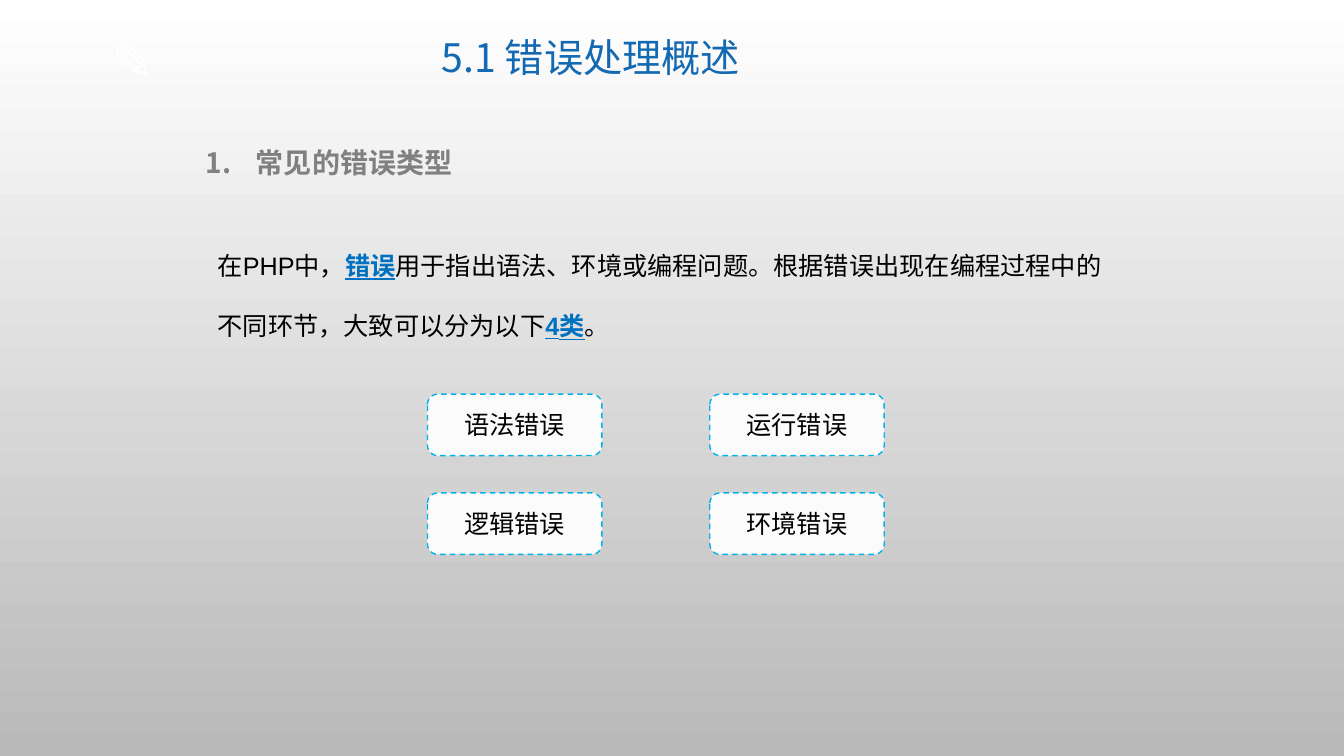
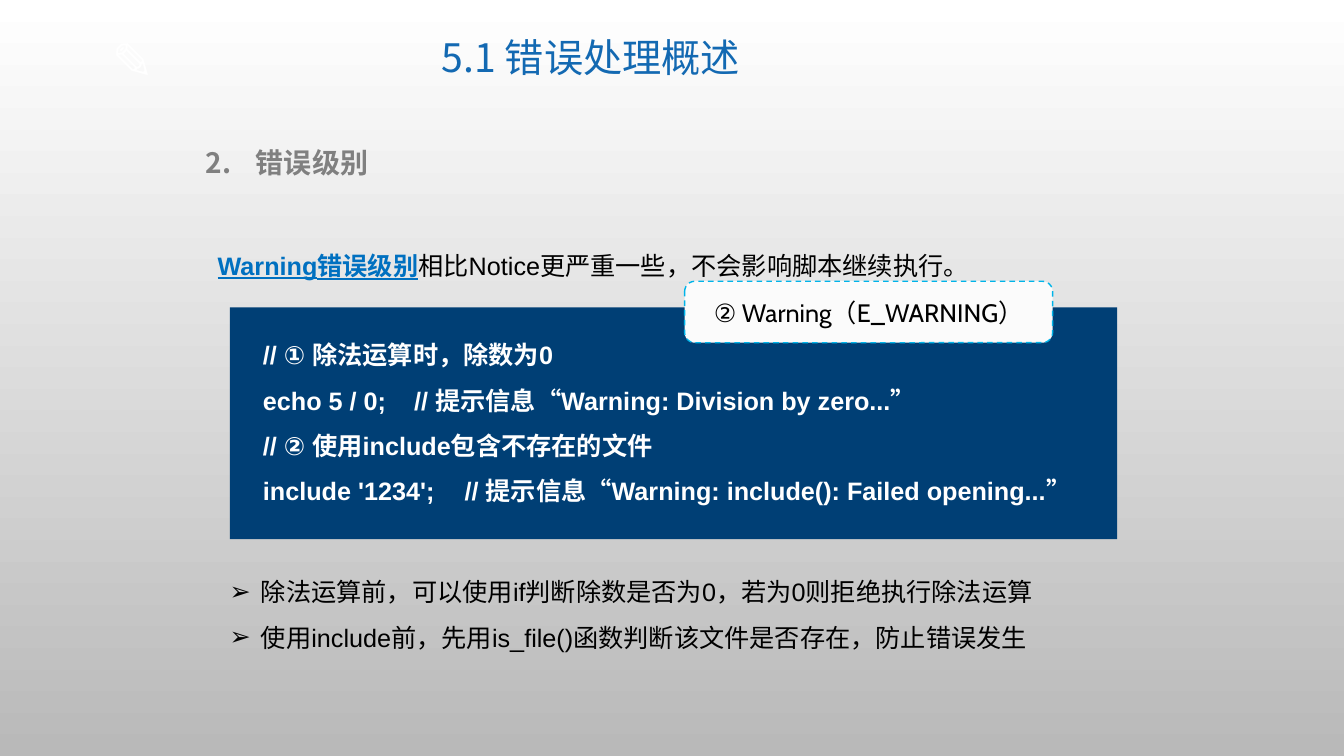
from lxml import etree
from pptx import Presentation
from pptx.dml.color import RGBColor
from pptx.enum import dml, shapes, text as text_enum
from pptx.oxml import ns
from pptx.util import Inches, Pt

BLACK = RGBColor(0x00, 0x00, 0x00)
WHITE = RGBColor(0xFF, 0xFF, 0xFF)
BACKGROUND_END = RGBColor(0xB9, 0xB9, 0xB9)
TITLE_BLUE = RGBColor(0x13, 0x69, 0xB2)
HEADING_GREY = RGBColor(0x80, 0x80, 0x80)
KEYWORD_BLUE = RGBColor(0x00, 0x70, 0xC0)
LABEL_FILL = RGBColor(0xFB, 0xFB, 0xFB)
LABEL_LINE = RGBColor(0x00, 0xB4, 0xE9)
CODE_NAVY = RGBColor(0x00, 0x3F, 0x75)

CJK_FONT = "Noto Sans CJK SC"
BODY_FONT = "Arial"
LABEL_FONT = "Cabin"


def style_paragraph(paragraph, size=18, color=BLACK, name=BODY_FONT, bold=False,
                    spacing=None, align=None):
    font = paragraph.font
    font.size, font.bold, font.name = Pt(size), bold, name
    font.color.rgb = color
    properties = paragraph._p.get_or_add_pPr()
    defaults = properties.find(ns.qn("a:defRPr"))
    etree.SubElement(defaults, ns.qn("a:ea"), typeface=CJK_FONT)
    if spacing:
        paragraph.line_spacing = spacing
    if align:
        paragraph.alignment = align


def add_property(paragraph, tag, **attributes):
    """Insert a paragraph property ahead of the default font."""
    defaults = paragraph._p.get_or_add_pPr().find(ns.qn("a:defRPr"))
    element = etree.Element(ns.qn(tag), **attributes)
    defaults.addprevious(element)
    return element


def set_indent(paragraph, inches):
    properties = paragraph._p.get_or_add_pPr()
    properties.set("marL", str(Inches(inches)))
    properties.set("indent", str(-Inches(inches)))


def add_text(slide, box, lines, **style):
    """Add a text box with one paragraph per line and return the paragraphs."""
    frame = slide.shapes.add_textbox(*map(Inches, box)).text_frame
    frame.word_wrap = True
    frame.text = "\n".join(lines)
    for paragraph in frame.paragraphs:
        style_paragraph(paragraph, **style)
    return frame.paragraphs


def add_box(slide, kind, box, fill):
    shape = slide.shapes.add_shape(kind, *map(Inches, box))
    shape.shadow.inherit = False
    shape.fill.solid()
    shape.fill.fore_color.rgb = fill
    shape.line.fill.background()
    return shape


def set_background(master):
    fill = master.background.fill
    fill.gradient()
    fill.gradient_angle = 270
    for stop, position, color in zip(fill.gradient_stops, (0, 1), (WHITE, BACKGROUND_END)):
        stop.position = position
        stop.color.rgb = color


def add_topic_slide(presentation, number, heading):
    """Start a slide with pencil mark, chapter title and numbered heading."""
    slide = presentation.slides.add_slide(presentation.slide_layouts[6])
    add_text(slide, (1.01, 0.24, 0.86, 0.71), ["✎"],
             size=36, color=WHITE, name=CJK_FONT, bold=True)

    add_text(slide, (2.42, 0.17, 6.88, 0.85), ["5.1 错误处理概述"],
             size=28, color=TITLE_BLUE, name=CJK_FONT, spacing=0.9,
             align=text_enum.PP_ALIGN.CENTER)
    slide.shapes[-1].text_frame.vertical_anchor = text_enum.MSO_ANCHOR.MIDDLE

    paragraph, = add_text(slide, (1.94, 1.39, 9.22, 0.44), [heading],
                          size=20, color=HEADING_GREY, name=CJK_FONT, bold=True)
    set_indent(paragraph, 0.5)
    add_property(paragraph, "a:buFont", typeface=CJK_FONT)
    add_property(paragraph, "a:buAutoNum", type="arabicPeriod", startAt=str(number))
    return slide


def add_intro(slide, box, segments):
    """Add a paragraph of (words, is_keyword) segments."""
    paragraph, = add_text(slide, box, [""], spacing=2.0)
    for words, is_keyword in segments:
        run = paragraph.add_run()
        run.text = words
        if is_keyword:
            run.font.bold = run.font.underline = True
            run.font.color.rgb = KEYWORD_BLUE


def add_label(slide, box, words):
    label = add_box(slide, shapes.MSO_SHAPE.ROUNDED_RECTANGLE, box, LABEL_FILL)
    label.line.color.rgb = LABEL_LINE
    label.line.width = Pt(1)
    label.line.dash_style = dml.MSO_LINE.DASH
    frame = label.text_frame
    frame.vertical_anchor = text_enum.MSO_ANCHOR.MIDDLE
    frame.text = words
    style_paragraph(frame.paragraphs[0], name=LABEL_FONT, align=text_enum.PP_ALIGN.CENTER)


def add_label_grid(slide, box, rows):
    """Spread equal labels to the edges of the box."""
    left, top, width, height = box
    label_width, label_height = 1.73, 0.61
    for row, names in enumerate(rows):
        y = top + row * (height - label_height) / (len(rows) - 1)
        for column, name in enumerate(names):
            x = left + column * (width - label_width) / (len(names) - 1)
            add_label(slide, (x, y, label_width, label_height), name)


def add_code_panel(slide, box, lines):
    left, top, width, height = box
    add_box(slide, shapes.MSO_SHAPE.RECTANGLE, box, CODE_NAVY)
    code = (left + 0.23, top + 0.12, width - 0.24, height - 0.38)
    for paragraph in add_text(slide, code, lines, color=WHITE, bold=True, spacing=1.5):
        tabs = add_property(paragraph, "a:tabLst")
        for stop in (1.5, 2):
            etree.SubElement(tabs, ns.qn("a:tab"), pos=str(Inches(stop)), algn="l")


def add_bullets(slide, box, lines):
    for paragraph in add_text(slide, box, lines, spacing=1.5):
        set_indent(paragraph, 0.31)
        add_property(paragraph, "a:buFont", typeface="Arial")
        add_property(paragraph, "a:buChar", char="➢")


def build_error_types(presentation):
    slide = add_topic_slide(presentation, 1, "常见的错误类型")
    add_intro(slide, (2.06, 2.13, 9.19, 1.22), [
        ("在PHP中，", False),
        ("错误", True),
        ("用于指出语法、环境或编程问题。根据错误出现在编程过程中的不同环节，大致可以分为以下", False),
        ("4类", True),
        ("。", False),
    ])
    add_label_grid(slide, (4.24, 3.91, 4.53, 1.59),
                   [("语法错误", "运行错误"), ("逻辑错误", "环境错误")])


def build_error_levels(presentation):
    slide = add_topic_slide(presentation, 2, "错误级别")
    add_code_panel(slide, (2.28, 3.05, 8.8, 2.3), [
        "// ① 除法运算时，除数为0",
        "echo 5 / 0;\t// 提示信息“Warning: Division by zero...”",
        "// ② 使用include包含不存在的文件",
        "include '1234';\t// 提示信息“Warning: include(): Failed opening...”",
    ])
    add_label(slide, (6.79, 2.79, 3.65, 0.61), "② Warning（E_WARNING）")
    add_bullets(slide, (2.18, 5.52, 8.88, 0.95), [
        "除法运算前，可以使用if判断除数是否为0，若为0则拒绝执行除法运算",
        "使用include前，先用is_file()函数判断该文件是否存在，防止错误发生",
    ])
    add_intro(slide, (2.06, 2.13, 9.19, 0.61), [
        ("Warning错误级别", True),
        ("相比Notice更严重一些，不会影响脚本继续执行。", False),
    ])


def main():
    presentation = Presentation()
    presentation.slide_width, presentation.slide_height = Inches(13.33), Inches(7.5)
    set_background(presentation.slide_master)
    build_error_types(presentation)
    build_error_levels(presentation)
    presentation.save("out.pptx")


if __name__ == "__main__":
    main()
